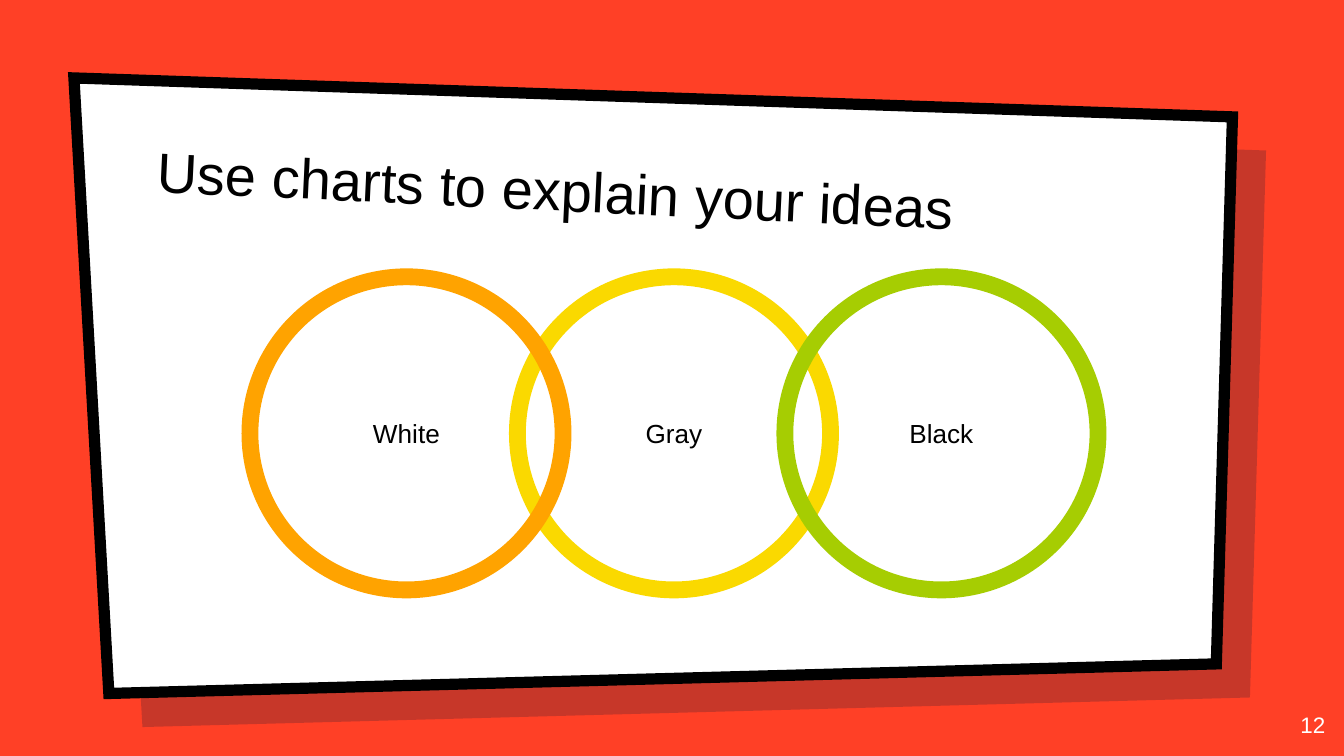
import pptx
import pptx.util
import pptx.dml.color
import pptx.enum.shapes
import pptx.enum.text
import lxml.etree
from pptx.util import Inches

ALIGN = pptx.enum.text.PP_ALIGN
ANCHOR = pptx.enum.text.MSO_ANCHOR


def tint(code):
    """Turn a hex string into a colour."""
    return pptx.dml.color.RGBColor.from_string(code)


def write(shape, text, size, color, align, anchor):
    frame = shape.text_frame
    frame.text = text
    look = {"word_wrap": True, "vertical_anchor": anchor,
            "auto_size": pptx.enum.text.MSO_AUTO_SIZE.NONE}
    for side in ("left", "right", "top", "bottom"):
        look["margin_" + side] = Inches(0.1)
    for name, value in look.items():
        setattr(frame, name, value)
    line = frame.paragraphs[0]
    line.alignment = align
    font = line.runs[0].font
    for name, value in {"name": "Arial", "size": pptx.util.Pt(size)}.items():
        setattr(font, name, value)
    font.color.rgb = tint(color)


deck = pptx.Presentation()
deck.slide_width = Inches(10)
deck.slide_height = Inches(10) * 9 // 16
slide = deck.slides.add_slide(deck.slide_layouts[5])
slide.background.fill.solid()
slide.background.fill.fore_color.rgb = tint("FF4026")

# Title
title = slide.shapes.title
place = {"left": 1.07, "top": 0.96, "width": 7.69, "height": 0.83}
for name, value in place.items():
    setattr(title, name, Inches(value))
title.rotation = 2.7
write(title, "Use charts to explain your ideas", 30, "000000",
      ALIGN.LEFT, ANCHOR.BOTTOM)

# Slanted panel over its shadow, both behind the title
corners = [(0.55, 0.58), (9.17, 0.87), (9.05, 4.94), (0.81, 5.16)]
for shift, color in ((0.25, "001936"), (0, "FFFFFF")):
    points = [(Inches(x + shift), Inches(y + shift)) for x, y in corners]
    pen = slide.shapes.build_freeform(*points[0])
    pen.add_line_segments(points[1:])
    panel = pen.convert_to_shape()
    panel.shadow.inherit = False
    panel.fill.solid()
    panel.fill.fore_color.rgb = tint(color)
    if shift:
        panel.line.fill.background()
        shade = panel.element.spPr.find(".//" + pptx.oxml.ns.qn("a:srgbClr"))
        lxml.etree.SubElement(shade, pptx.oxml.ns.qn("a:alpha"), val="22000")
    else:
        panel.line.color.rgb = tint("000000")
        panel.line.width = pptx.util.Pt(6)
        edge = panel.element.spPr.find(pptx.oxml.ns.qn("a:ln"))
        lxml.etree.SubElement(edge, pptx.oxml.ns.qn("a:miter"), lim="800000")
    title.element.addprevious(panel.element)

# Rings, the middle one at the back
first, step, size = 1.86, 1.99, 2.33
rings = [(1, "Gray", "FAD900"), (0, "White", "FFA300"), (2, "Black", "A6CD02")]
for spot, label, color in rings:
    ring = slide.shapes.add_shape(
        pptx.enum.shapes.MSO_SHAPE.OVAL, Inches(first + spot * step),
        Inches(2.06), Inches(size), Inches(size))
    ring.shadow.inherit = False
    ring.fill.background()
    ring.line.color.rgb = tint(color)
    ring.line.width = pptx.util.Pt(9)
    write(ring, label, 14, "000000", ALIGN.CENTER, ANCHOR.MIDDLE)

# Slide number
number = slide.shapes.add_textbox(
    Inches(9.36), Inches(5.19), Inches(0.6), Inches(0.43))
write(number, "12", 12, "FFFFFF", ALIGN.RIGHT, ANCHOR.TOP)

deck.save("out.pptx")
